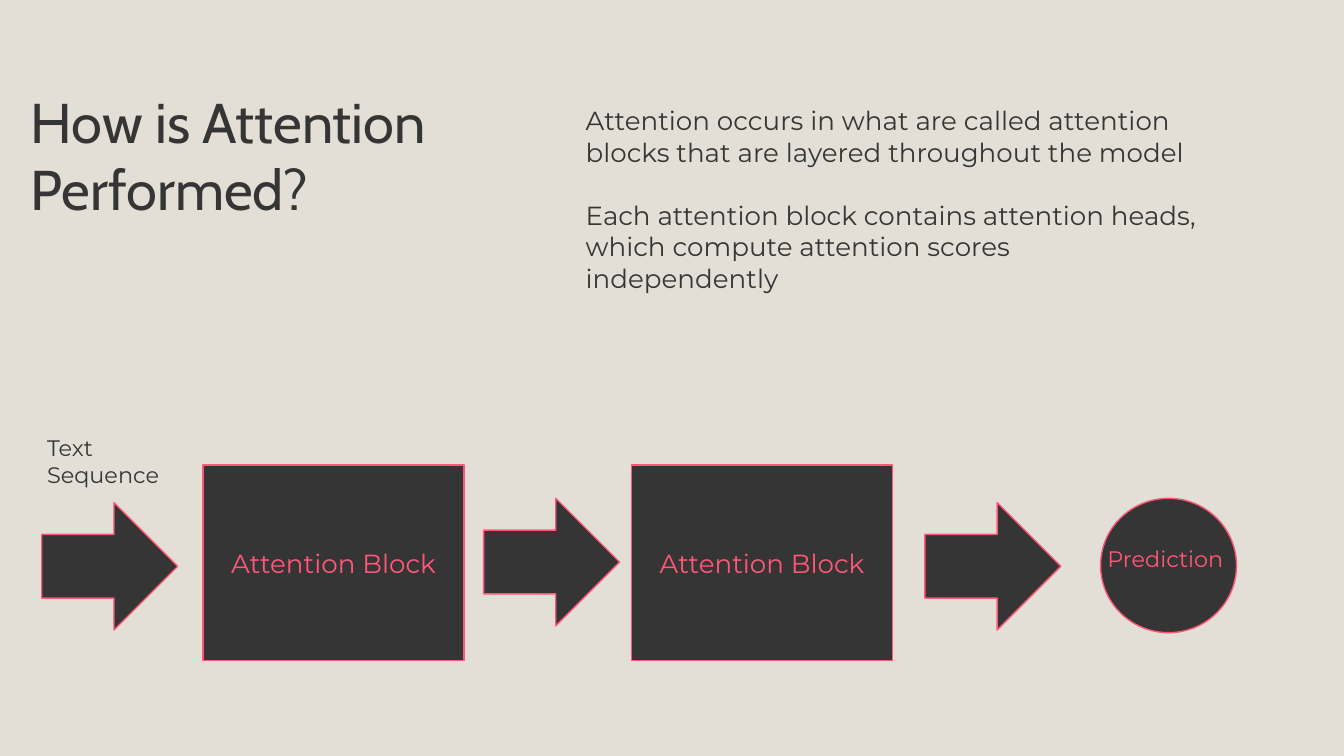
from pptx import Presentation
from pptx.dml.color import RGBColor
from pptx.enum import shapes, text
from pptx.util import Cm, Pt

HUES = {"sand": "E3DFD6", "dark": "353535", "pink": "FF5777"}
KINDS = shapes.MSO_SHAPE
PAD = Cm(0.25)


def hue(name):
    return RGBColor.from_string(HUES[name])


def write(frame, lines, size, color, font="Montserrat", gap=0, align=None):
    """Fill a text frame with one paragraph per line, gap points apart."""
    frame.word_wrap = True
    frame.margin_left = frame.margin_right = PAD
    frame.margin_top = frame.margin_bottom = PAD
    for i, line in enumerate(lines):
        para = frame.add_paragraph() if i else frame.paragraphs[0]
        para.alignment = align
        if i:
            para.space_before = Pt(gap)
        run = para.add_run()
        run.text = line
        run.font.name = font
        run.font.size = Pt(size)
        run.font.color.rgb = hue(color)


def add_text(slide, box, lines, size, color="dark", **style):
    label = slide.shapes.add_textbox(*map(Cm, box))
    label.text_frame.vertical_anchor = text.MSO_ANCHOR.TOP
    write(label.text_frame, lines, size, color, **style)


def add_shape(slide, kind, box):
    shape = slide.shapes.add_shape(kind, *map(Cm, box))
    shape.shadow.inherit = False
    shape.fill.solid()
    shape.fill.fore_color.rgb = hue("dark")
    shape.line.color.rgb = hue("pink")
    shape.line.width = Pt(0.75)
    return shape


def add_block(slide, left):
    block = add_shape(slide, KINDS.RECTANGLE, (left, 8.79, 4.93, 3.7))
    block.text_frame.vertical_anchor = text.MSO_ANCHOR.MIDDLE
    write(block.text_frame, ["Attention Block"], 14, "pink",
          align=text.PP_ALIGN.CENTER)


def add_arrow(slide, left, top):
    add_shape(slide, KINDS.RIGHT_ARROW, (left, top, 2.57, 2.41))


def main():
    deck = Presentation()
    deck.slide_width, deck.slide_height = Cm(25.4), Cm(14.29)
    slide = deck.slides.add_slide(deck.slide_layouts[6])
    slide.background.fill.solid()
    slide.background.fill.fore_color.rgb = hue("sand")

    add_text(slide, (10.82, 1.73, 12.14, 4.55), [
        "Attention occurs in what are called attention blocks that are "
        "layered throughout the model",
        "Each attention block contains attention heads, which compute "
        "attention scores independently",
    ], 14, gap=17)
    add_text(slide, (0.33, 1.4, 11.63, 3.28),
             ["How is Attention Performed?"], 30, font="Cabin")

    for left in (3.84, 11.94):
        add_block(slide, left)
    for left, top in ((0.79, 9.5), (9.14, 9.42), (17.48, 9.5)):
        add_arrow(slide, left, top)
    add_text(slide, (0.64, 7.95, 2.72, 1.04), ["Text Sequence"], 12)

    add_shape(slide, KINDS.OVAL, (20.8, 9.42, 2.57, 2.54))
    add_text(slide, (20.68, 10.06, 3.02, 1.17), ["Prediction"], 12, "pink")

    deck.save("out.pptx")


if __name__ == "__main__":
    main()
